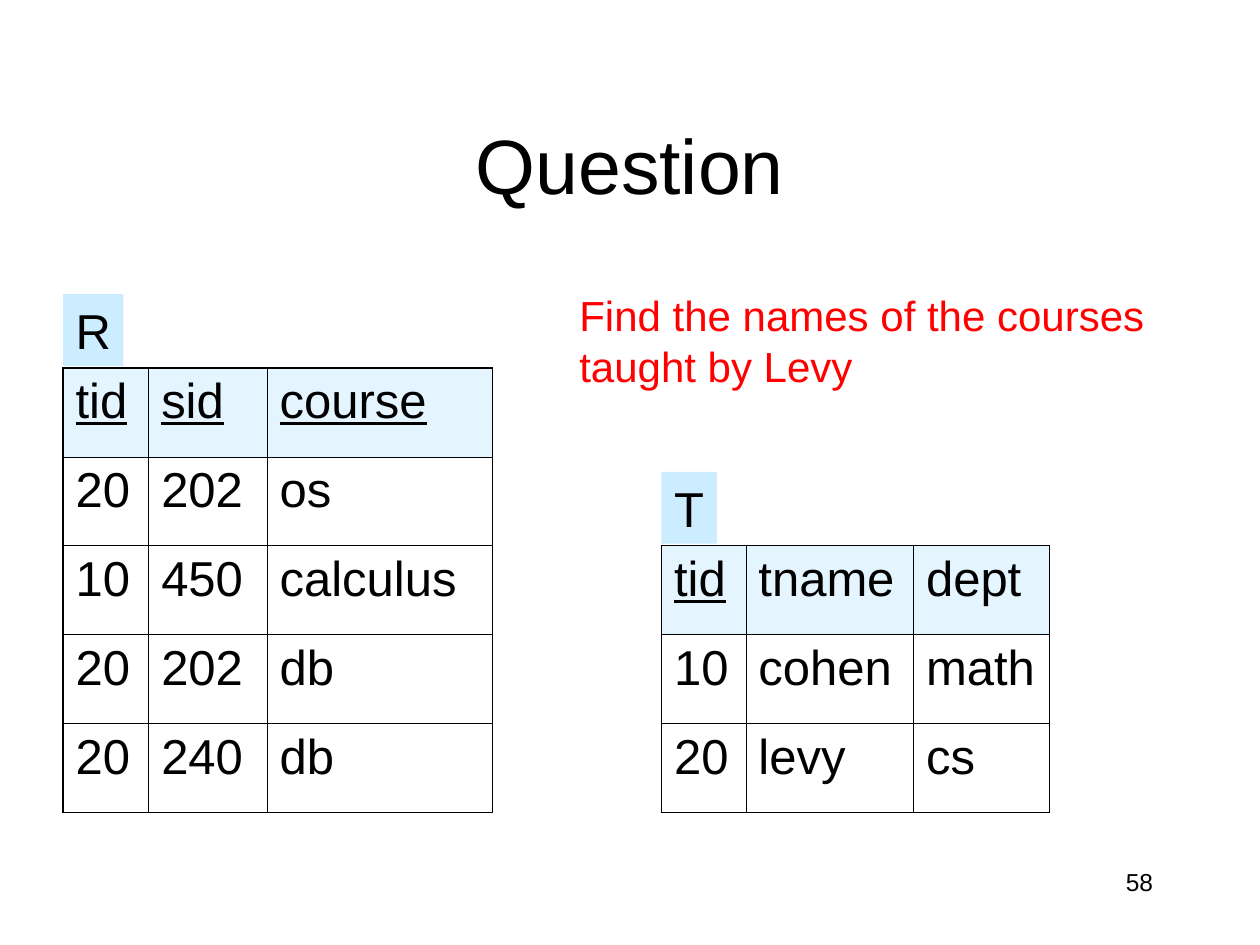
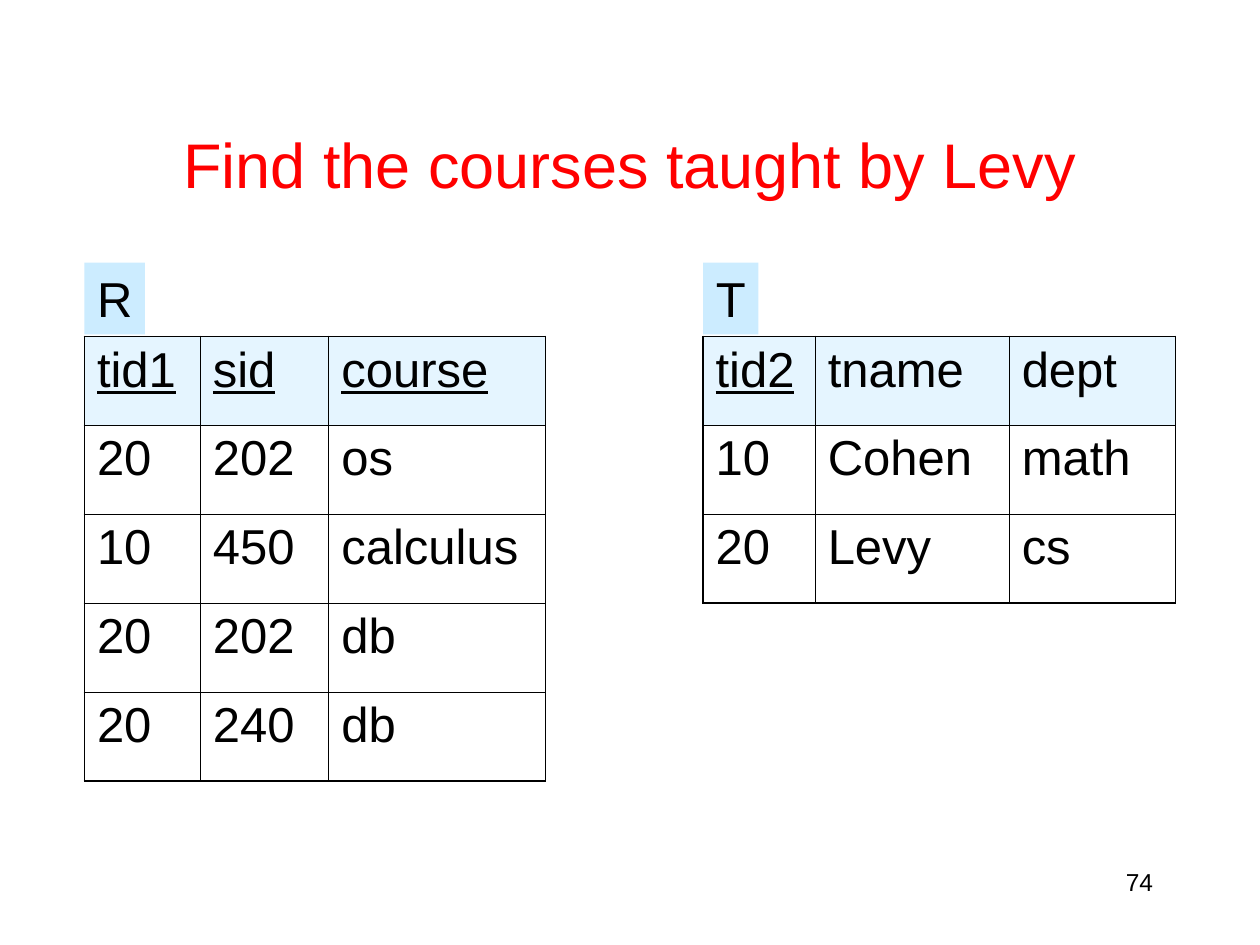
from dataclasses import dataclass

from lxml.etree import SubElement
from pptx import Presentation
from pptx.dml.color import RGBColor
from pptx.enum.shapes import MSO_SHAPE as Shape
from pptx.enum.text import MSO_ANCHOR as Anchor, MSO_AUTO_SIZE as AutoSize, PP_ALIGN as Align
from pptx.oxml import parse_xml
from pptx.oxml.ns import nsdecls, qn
from pptx.util import Inches, Pt

# Shared look
BLACK, RED, PALE_BLUE = "000000", "FF0000", "CCECFF"
FONT = "Arial"
ROW_H = 0.706
TAG_RISE, TAG_H = 0.585, 0.57
TAG_WIDTHS = {"R": 0.48, "T": 0.44}
OUTER, INNER = Pt(1.08), Pt(0.45)
R_ROWS = (("20", "202", "os"), ("10", "450", "calculus"),
          ("20", "202", "db"), ("20", "240", "db"))


@dataclass
class Label:
    text: str
    left: float
    top: float
    width: float
    height: float
    size: int
    color: str = BLACK
    align: Align = Align.LEFT
    anchor: Anchor = Anchor.TOP


@dataclass
class Relation:
    name: str
    left: float
    top: float
    widths: tuple[float, ...]
    header: tuple[str, ...]
    keys: int  # leading columns that form the underlined key
    rows: tuple[tuple[str, ...], ...]


@dataclass
class Page:
    number: str
    labels: tuple[Label, ...]
    relations: tuple[Relation, ...]


def rgb(color: str) -> RGBColor:
    return RGBColor.from_string(color)


def write(tf, text: str, size: int, color: str = BLACK,
          align: Align = Align.LEFT, underline: bool = False) -> None:
    p = tf.paragraphs[0]
    p.alignment = align
    r = p.add_run()
    r.text = text
    formats = {"name": FONT, "size": Pt(size), "underline": underline}
    for name, value in formats.items():
        setattr(r.font, name, value)
    r.font.color.rgb = rgb(color)


def add_label(s, label: Label) -> None:
    box = map(Inches, (label.left, label.top, label.width, label.height))
    tf = s.shapes.add_textbox(*box).text_frame
    tf.word_wrap = True
    tf.vertical_anchor = label.anchor
    write(tf, label.text, label.size, label.color, label.align)


def add_tag(s, rel: Relation) -> None:
    box = map(Inches, (rel.left, rel.top - TAG_RISE, TAG_WIDTHS[rel.name], TAG_H))
    sp = s.shapes.add_shape(Shape.RECTANGLE, *box)
    sp.shadow.inherit = False
    sp.fill.solid()
    sp.fill.fore_color.rgb = rgb(PALE_BLUE)
    sp.line.fill.background()
    formats = {"word_wrap": False, "auto_size": AutoSize.SHAPE_TO_FIT_TEXT,
               "vertical_anchor": Anchor.TOP}
    for name, value in formats.items():
        setattr(sp.text_frame, name, value)
    write(sp.text_frame, rel.name, 28, align=Align.CENTER)


def set_borders(cell, outer_sides: dict[str, bool]) -> None:
    tc_pr = cell._tc.get_or_add_tcPr()
    for i, (side, is_outer) in enumerate(outer_sides.items()):
        width = OUTER if is_outer else INNER
        tc_pr.insert(i, parse_xml(
            f'<a:ln{side} {nsdecls("a")} w="{int(width)}"><a:solidFill>'
            f'<a:srgbClr val="{BLACK}"/></a:solidFill></a:ln{side}>'))


def fill_header(cell) -> None:
    cell.fill.solid()
    cell.fill.fore_color.rgb = rgb(PALE_BLUE)
    clr = cell._tc.tcPr.find(qn("a:solidFill")).find(qn("a:srgbClr"))
    SubElement(clr, qn("a:alpha"), val="50000")


def add_relation(s, rel: Relation) -> None:
    rows = (rel.header, *rel.rows)
    n_rows, n_cols = len(rows), len(rel.widths)
    box = map(Inches, (rel.left, rel.top, sum(rel.widths), n_rows * ROW_H))
    table = s.shapes.add_table(n_rows, n_cols, *box).table
    table.first_row = table.horz_banding = False
    for col, width in zip(table.columns, rel.widths):
        col.width = Inches(width)
    for i, row in enumerate(rows):
        table.rows[i].height = Inches(ROW_H)
        for j, text in enumerate(row):
            cell = table.cell(i, j)
            if i == 0:
                fill_header(cell)
            else:
                cell.fill.background()
            set_borders(cell, {"L": j == 0, "R": j == n_cols - 1,
                               "T": i == 0, "B": i == n_rows - 1})
            cell.margin_left = cell.margin_right = Inches(0.1)
            write(cell.text_frame, text, 28, underline=i == 0 and j < rel.keys)
    add_tag(s, rel)


def title(text: str, left: float, size: int, color: str = BLACK) -> Label:
    return Label(text, left, 0.67, 10 - 2 * left, 1.25, size, color,
                 Align.CENTER, Anchor.MIDDLE)


PAGES = (
    Page("58",
         (title("Question", 0.75, 44),
          Label("Find the names of the courses taught by Levy",
                4.5, 2.25, 5.17, 0.9, 24, RED)),
         (Relation("R", 0.5, 2.92, (0.68, 0.94, 1.79),
                   ("tid", "sid", "course"), 3, R_ROWS),
          Relation("T", 5.25, 4.33, (0.67, 1.33, 1.08), ("tid", "tname", "dept"), 1,
                   (("10", "cohen", "math"), ("20", "levy", "cs"))))),
    Page("74",
         (title("Find the courses taught by Levy", 0.25, 36, RED),),
         (Relation("R", 0.67, 2.67, (0.92, 1.02, 1.72),
                   ("tid1", "sid", "course"), 3, R_ROWS),
          Relation("T", 5.58, 2.67, (0.89, 1.54, 1.32), ("tid2", "tname", "dept"), 1,
                   (("10", "Cohen", "math"), ("20", "Levy", "cs"))))),
)


def main() -> None:
    prs = Presentation()
    prs.slide_width, prs.slide_height = Inches(10), Inches(7.5)
    for page in PAGES:
        s = prs.slides.add_slide(prs.slide_layouts[6])
        # Page number, title and question
        add_label(s, Label(page.number, 7.17, 6.83, 2.08, 0.5, 14, align=Align.RIGHT))
        for label in page.labels:
            add_label(s, label)
        # Tables with their name tags
        for rel in page.relations:
            add_relation(s, rel)
    prs.save("out.pptx")


if __name__ == "__main__":
    main()
